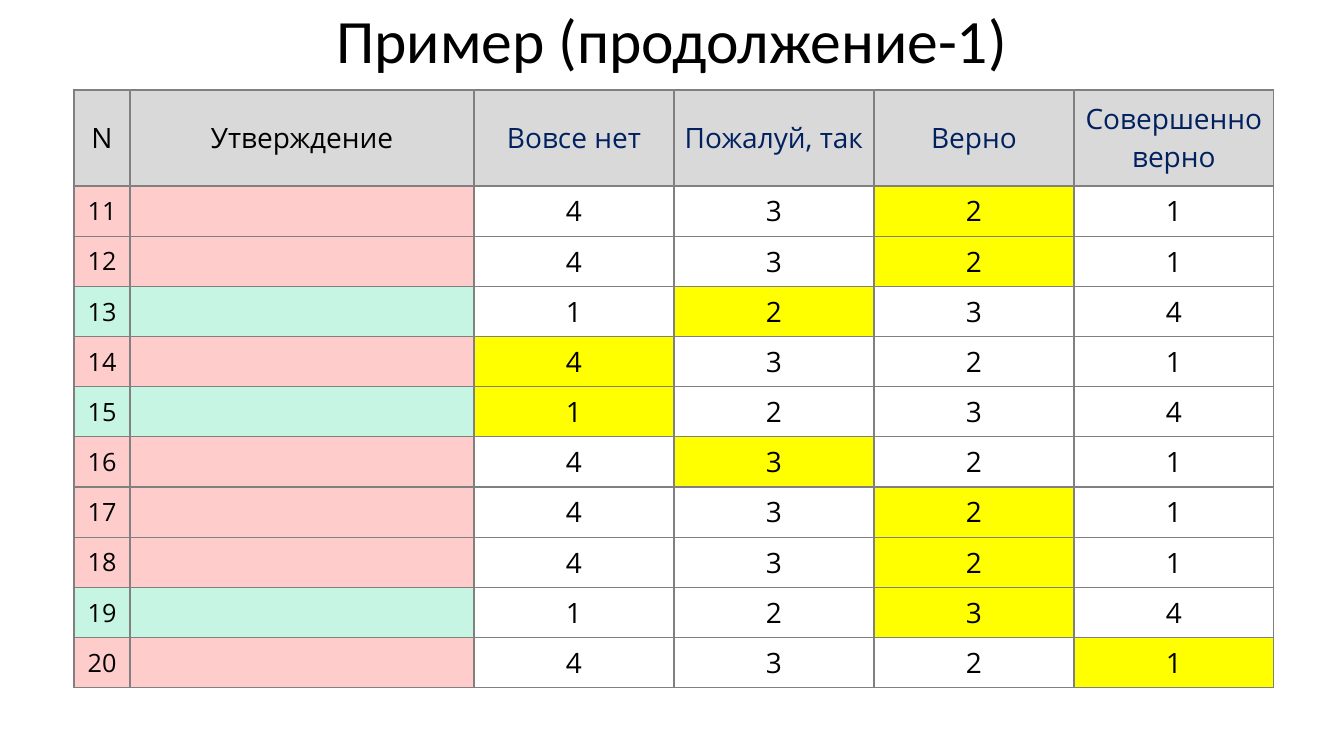
from lxml.etree import SubElement
from pptx import Presentation
from pptx.dml.color import RGBColor
from pptx.enum.text import MSO_ANCHOR, MSO_AUTO_SIZE, PP_ALIGN
from pptx.oxml.ns import qn
from pptx.util import Emu, Pt

COLORS = {
    "text": "000000",
    "answer": "002060",
    "header": "D9D9D9",
    "reverse": "FFCCCC",
    "direct": "C6F6E3",
    "chosen": "FFFF00",
    "plain": "FFFFFF",
    "border": "808080",
}
ANSWERS = ["Вовсе нет", "Пожалуй, так", "Верно", "Совершенно верно"]
DIRECT_STATEMENTS = {13, 15, 19}
FIRST_STATEMENT = 11
CHOSEN_ANSWERS = [2, 2, 1, 0, 0, 1, 2, 2, 2, 3]


def px(length):
    return Emu(round(length * 914400 / 100.8))


class SlideBuilder:
    title_font = "Calibri"
    table_font = "Open Sans"

    def __init__(self, presentation):
        self.slide = presentation.slides.add_slide(presentation.slide_layouts[5])

    def format_paragraph(self, paragraph, font_name, size, color):
        paragraph.alignment = PP_ALIGN.CENTER
        for run in paragraph.runs:
            run.font.name = font_name
            run.font.size = Pt(size)
            run.font.color.rgb = RGBColor.from_string(COLORS[color])

    def title(self, text, left, top, width, height):
        shape = self.slide.shapes.title
        shape.left, shape.top = px(left), px(top)
        shape.width, shape.height = px(width), px(height)
        frame = shape.text_frame
        frame.text = text
        frame.auto_size = MSO_AUTO_SIZE.NONE
        frame.vertical_anchor = MSO_ANCHOR.MIDDLE
        paragraph = frame.paragraphs[0]
        paragraph.line_spacing = 0.9
        self.format_paragraph(paragraph, self.title_font, 44, "text")

    def table(self, row_count, left, top, column_widths, header_height, height):
        table = self.slide.shapes.add_table(
            row_count, len(column_widths), px(left), px(top), px(sum(column_widths)), px(height)
        ).table
        table.first_row = table.horz_banding = False
        for column, width in zip(table.columns, column_widths):
            column.width = px(width)
        for row in table.rows:
            row.height = Emu(px(height - header_height) // (row_count - 1))
        table.rows[0].height = px(header_height)
        return table

    def cell(self, cell, text, fill, size=20, color="text"):
        self.borders(cell)
        cell.fill.solid()
        cell.fill.fore_color.rgb = RGBColor.from_string(COLORS[fill])
        cell.vertical_anchor = MSO_ANCHOR.MIDDLE
        cell.margin_left = cell.margin_right = px(5)
        if text:
            cell.text_frame.text = text
            self.format_paragraph(cell.text_frame.paragraphs[0], self.table_font, size, color)

    def borders(self, cell):
        """Draw all four edges; must precede the fill in the cell properties."""
        properties = cell._tc.get_or_add_tcPr()
        for edge in ("a:lnL", "a:lnR", "a:lnT", "a:lnB"):
            line = SubElement(properties, qn(edge), w=str(Pt(1)))
            solid_fill = SubElement(line, qn("a:solidFill"))
            SubElement(solid_fill, qn("a:srgbClr"), val=COLORS["border"])


def main():
    presentation = Presentation()
    presentation.slide_width, presentation.slide_height = px(1344), px(756)
    builder = SlideBuilder(presentation)
    builder.title("Пример (продолжение-1)", 0, 9, 1344, 70)

    column_widths = [56, 344] + [200] * len(ANSWERS)
    table = builder.table(len(CHOSEN_ANSWERS) + 1, 74, 90, column_widths, 96, 598)
    for column, heading in enumerate(["N", "Утверждение"] + ANSWERS):
        color = "answer" if heading in ANSWERS else "text"
        builder.cell(table.cell(0, column), heading, "header", color=color)

    for row, chosen in enumerate(CHOSEN_ANSWERS, start=1):
        number = FIRST_STATEMENT + row - 1
        is_direct = number in DIRECT_STATEMENTS
        kind = "direct" if is_direct else "reverse"
        builder.cell(table.cell(row, 0), str(number), kind, size=18)
        builder.cell(table.cell(row, 1), "", kind)
        for answer in range(len(ANSWERS)):
            score = answer + 1 if is_direct else len(ANSWERS) - answer
            fill = "chosen" if answer == chosen else "plain"
            builder.cell(table.cell(row, answer + 2), str(score), fill)

    presentation.save("out.pptx")


if __name__ == "__main__":
    main()
